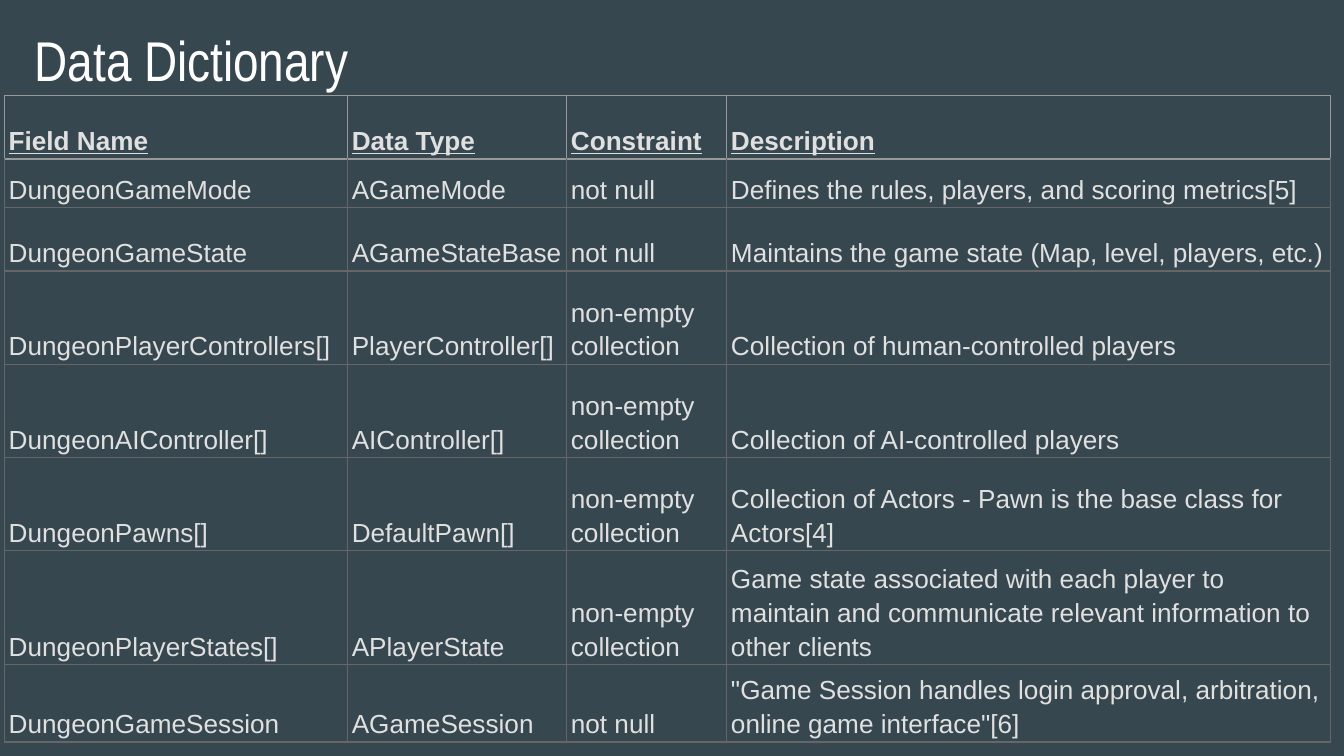
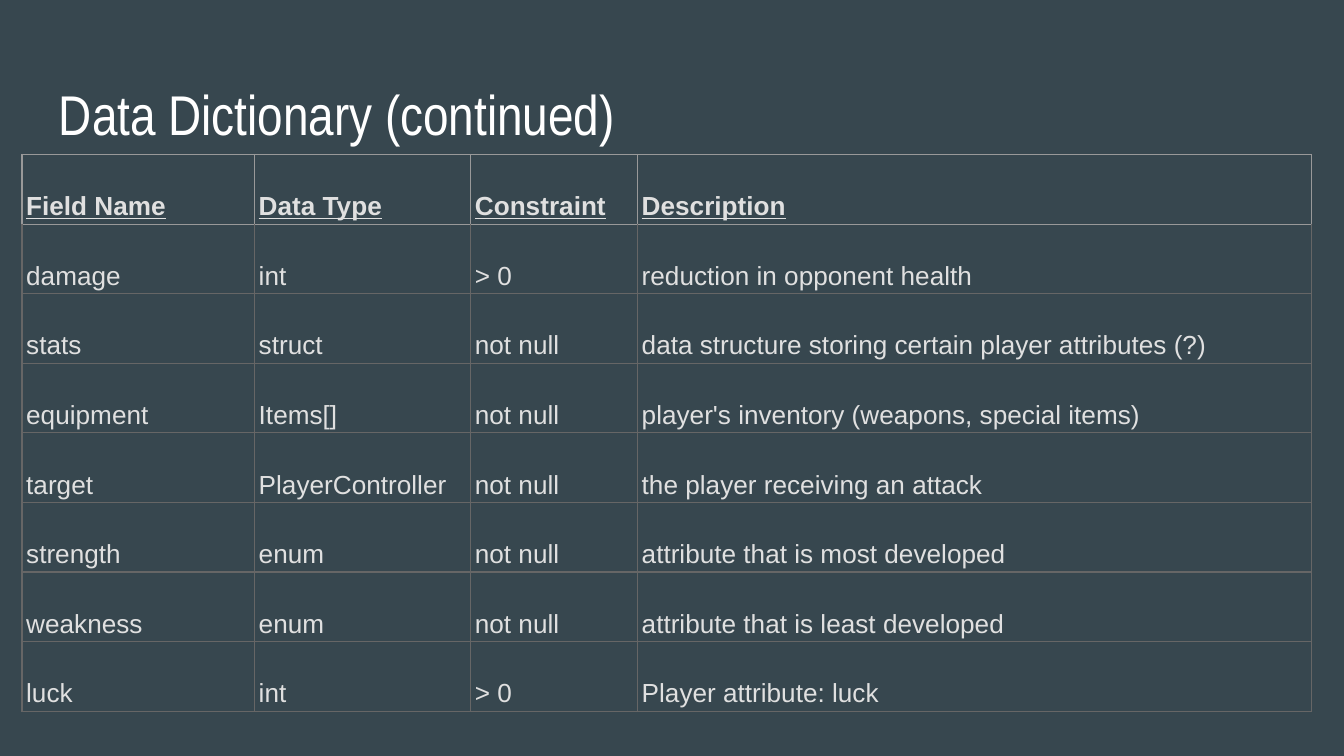
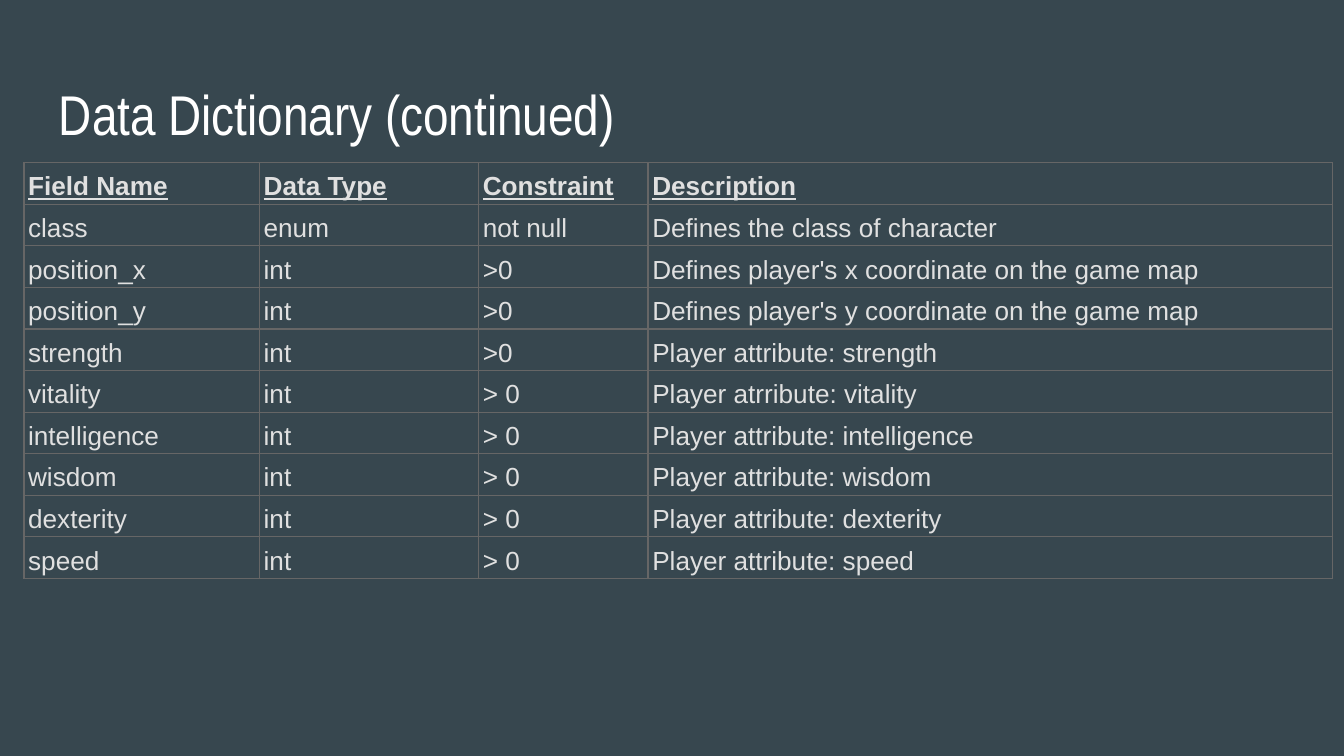
"""Build three data dictionary slides, each a title above a ruled table."""
from lxml.etree import SubElement
from pptx import Presentation
from pptx.dml.color import RGBColor
from pptx.enum.text import MSO_ANCHOR
from pptx.oxml.ns import qn
from pptx.util import Pt

BACKGROUND, TITLE_COLOR, TEXT_COLOR = "37474F", "FFFFFF", "E0E0E0"
RULE, HEADER_RULE = "666666", "999999"
HEADER = ("Field Name", "Data Type", "Constraint", "Description")


def color(hex_value):
    return RGBColor.from_string(hex_value)


def add_borders(cell, rules):
    properties = cell._tc.get_or_add_tcPr()
    for side, rule in zip(("lnL", "lnR", "lnT", "lnB"), rules):
        line = SubElement(properties, qn(f"a:{side}"), w=str(Pt(0.75)))
        fill = SubElement(line, qn("a:solidFill"))
        SubElement(fill, qn("a:srgbClr"), val=rule)


pages = [
    {
        "title": "Data Dictionary",
        "title_at": (11.5, 6.5),
        "table_at": (2.4, 51.2),
        "columns": (183.8, 117.4, 85.8, 323.3),
        "heights": (34, 26, 34, 50, 50, 50, 50, 34),
        "header_rule": HEADER_RULE,
        "fields": [
            ("DungeonGameMode", "AGameMode", "not null",
             "Defines the rules, players, and scoring metrics[5]"),
            ("DungeonGameState", "AGameStateBase", "not null",
             "Maintains the game state (Map, level, players, etc.)"),
            ("DungeonPlayerControllers[]", "PlayerController[]", "non-empty collection",
             "Collection of human-controlled players"),
            ("DungeonAIController[]", "AIController[]", "non-empty collection",
             "Collection of AI-controlled players"),
            ("DungeonPawns[]", "DefaultPawn[]", "non-empty collection",
             "Collection of Actors - Pawn is the base class for Actors[4]"),
            ("DungeonPlayerStates[]", "APlayerState", "non-empty collection",
             "Game state associated with each player to maintain and communicate "
             "relevant information to other clients"),
            ("DungeonGameSession", "AGameSession", "not null",
             '"Game Session handles login approval, arbitration, online game interface"[6]'),
        ],
    },
    {
        "title": "Data Dictionary (continued)",
        "title_at": (24.5, 35.5),
        "table_at": (11.8, 82.8),
        "columns": (124.6, 115.8, 89.4, 361.2),
        "heights": (37.3,) * 8,
        "header_rule": HEADER_RULE,
        "fields": [
            ("damage", "int", "> 0", "reduction in opponent health"),
            ("stats", "struct", "not null",
             "data structure storing certain player attributes (?)"),
            ("equipment", "Items[]", "not null",
             "player's inventory (weapons, special items)"),
            ("target", "PlayerController", "not null", "the player receiving an attack"),
            ("strength", "enum", "not null", "attribute that is most developed"),
            ("weakness", "enum", "not null", "attribute that is least developed"),
            ("luck", "int", "> 0", "Player attribute: luck"),
        ],
    },
    {
        "title": "Data Dictionary (continued)",
        "title_at": (24.5, 35.5),
        "table_at": (12.8, 87.1),
        "columns": (126.2, 117.4, 90.8, 366.5),
        "heights": (16,) * 10,
        "header_rule": RULE,
        "fields": [
            ("class", "enum", "not null", "Defines the class of character"),
            ("position_x", "int", ">0", "Defines player's x coordinate on the game map"),
            ("position_y", "int", ">0", "Defines player's y coordinate on the game map"),
            ("strength", "int", ">0", "Player attribute: strength"),
            ("vitality", "int", "> 0", "Player atrribute: vitality"),
            ("intelligence", "int", "> 0", "Player attribute: intelligence"),
            ("wisdom", "int", "> 0", "Player attribute: wisdom"),
            ("dexterity", "int", "> 0", "Player attribute: dexterity"),
            ("speed", "int", "> 0", "Player attribute: speed"),
        ],
    },
]

deck = Presentation()
deck.slide_width, deck.slide_height = Pt(720), Pt(405)

for content in pages:
    page = deck.slides.add_slide(deck.slide_layouts[6])
    page.background.fill.solid()
    page.background.fill.fore_color.rgb = color(BACKGROUND)

    left, top = content["title_at"]
    box = page.shapes.add_textbox(Pt(left), Pt(top), Pt(671), Pt(45.4))
    frame = box.text_frame
    frame.word_wrap = True
    frame.margin_left = frame.margin_right = Pt(7.2)
    frame.margin_top = frame.margin_bottom = Pt(7.2)
    title = frame.paragraphs[0]
    title.text = content["title"]
    title.font.name, title.font.size = "Arial Narrow", Pt(30)
    title.font.color.rgb = color(TITLE_COLOR)

    rows = [HEADER] + content["fields"]
    left, top = content["table_at"]
    table = page.shapes.add_table(
        len(rows), len(HEADER), Pt(left), Pt(top),
        Pt(sum(content["columns"])), Pt(sum(content["heights"])),
    ).table
    table.first_row = table.horz_banding = False
    for column, width in zip(table.columns, content["columns"]):
        column.width = Pt(width)

    for row_index, (texts, height) in enumerate(zip(rows, content["heights"])):
        table.rows[row_index].height = Pt(height)
        is_header = row_index == 0
        side_rule = content["header_rule"] if is_header else RULE
        top_rule = content["header_rule"] if row_index < 2 else RULE
        for column_index, text in enumerate(texts):
            cell = table.cell(row_index, column_index)
            cell.vertical_anchor = MSO_ANCHOR.BOTTOM
            cell.margin_left = cell.margin_right = Pt(2.25)
            cell.margin_top = cell.margin_bottom = Pt(1.5)
            add_borders(cell, (side_rule, side_rule, top_rule, side_rule))
            cell.fill.background()
            para = cell.text_frame.paragraphs[0]
            para.text = text
            para.line_spacing = 1.15
            para.font.name, para.font.size = "Arial", Pt(14)
            para.font.bold = para.font.underline = is_header
            para.font.color.rgb = color(TEXT_COLOR)

deck.save("out.pptx")
